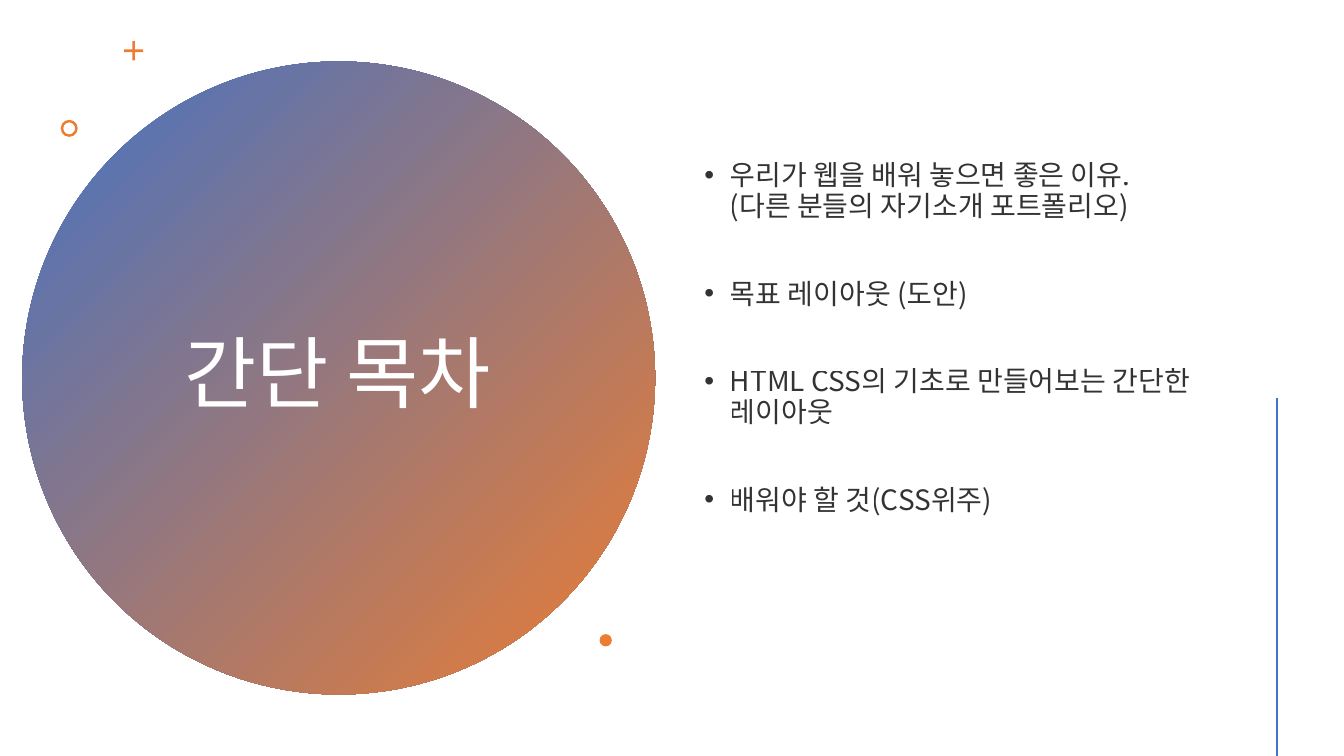
"""Build the table-of-contents slide with a gradient circle."""
from lxml.etree import SubElement
from pptx import Presentation
from pptx.dml.color import RGBColor
from pptx.enum.shapes import MSO_CONNECTOR as Connector, MSO_SHAPE as Shape
from pptx.enum.text import MSO_ANCHOR as Anchor, MSO_AUTO_SIZE as AutoSize, PP_ALIGN as Align
from pptx.oxml.ns import qn
from pptx.util import Cm, Pt

FONT = "Noto Sans CJK KR"
COLORS = {"blue": "4472C4", "orange": "ED7D31", "white": "FFFFFF", "text": "000000"}
TOPICS = [
    "우리가 웹을 배워 놓으면 좋은 이유. \v(다른 분들의 자기소개 포트폴리오)",
    "목표 레이아웃 (도안)",
    "HTML CSS의 기초로 만들어보는 간단한 레이아웃",
    "배워야 할 것(CSS위주)",
]


def color(name):
    """Return the named colour."""
    return RGBColor.from_string(COLORS[name])


def place(item, left, top, width, height):
    """Move and size an item, in centimetres."""
    item.left, item.top, item.width, item.height = map(Cm, (left, top, width, height))


def style_runs(paragraph, size, color_name):
    """Give every run of a paragraph its font, size and colour."""
    for run in paragraph.runs:
        run.font.name = FONT
        run.font.size = Pt(size)
        run.font.color.rgb = color(color_name)
        SubElement(run.font._element, qn("a:ea"), typeface=FONT)


def add_ornament(slide, kind, left, top, size, thickness=None):
    """Add a plain orange shape with equal sides."""
    ornament = slide.shapes.add_shape(kind, Cm(left), Cm(top), Cm(size), Cm(size))
    ornament.shadow.inherit = False
    ornament.fill.solid()
    ornament.fill.fore_color.rgb = color("orange")
    ornament.line.fill.background()
    if thickness is not None:
        ornament.adjustments[0] = thickness
    return ornament


def add_circle(slide):
    """Add the large gradient circle behind everything else."""
    circle = add_ornament(slide, Shape.OVAL, 0.56, 1.55, 15.95)
    circle.fill.gradient()
    circle.fill.gradient_angle = 315
    for stop, position, name in zip(circle.fill.gradient_stops, (0, 1), ("blue", "orange")):
        stop.position = position
        stop.color.rgb = color(name)
    slide.shapes._spTree.insert(2, circle._element)


def add_accent_line(slide):
    """Add the vertical line at the right edge."""
    accent = slide.shapes.add_connector(
        Connector.STRAIGHT, Cm(32.18), Cm(10.03), Cm(32.18), Cm(19.05))
    accent.line.color.rgb = color("blue")
    accent.line.width = Pt(2)
    SubElement(accent._element.spPr, qn("a:effectLst"))


def fill_title(title):
    """Write the heading in the middle of the circle."""
    place(title, 3.45, 3.58, 10.13, 11.86)
    frame = title.text_frame
    frame.text = "간단 목차"
    frame.auto_size = AutoSize.NONE
    frame.vertical_anchor = Anchor.MIDDLE
    heading = frame.paragraphs[0]
    heading.alignment = Align.CENTER
    heading.line_spacing = 0.9
    style_runs(heading, 56, "white")


def fill_topics(body):
    """Write the bulleted topics, evenly spaced."""
    place(body, 17.5, 1.45, 13.26, 16.2)
    frame = body.text_frame
    frame.text = "\n".join(TOPICS)
    frame.auto_size = AutoSize.NONE
    frame.vertical_anchor = Anchor.TOP
    frame.margin_top = Cm(2.6)
    for index, topic in enumerate(frame.paragraphs):
        topic.line_spacing = Pt(21.8)
        topic.space_before = Pt(41 if index else 0)
        style_runs(topic, 20, "text")
        properties = topic._p.get_or_add_pPr()
        properties.set("marL", str(Cm(0.64)))
        properties.set("indent", str(Cm(-0.64)))
        SubElement(properties, qn("a:buFont"), typeface="Arial")
        SubElement(properties, qn("a:buChar"), char="•")
        for shade in topic._p.iter(qn("a:srgbClr")):
            SubElement(shade, qn("a:alpha"), val="80000")


def main():
    """Build and save the slide."""
    deck = Presentation()
    deck.slide_width, deck.slide_height = Cm(33.87), Cm(19.05)
    slide = deck.slides.add_slide(deck.slide_layouts[1])
    add_circle(slide)
    fill_title(slide.shapes.title)
    fill_topics(slide.placeholders[1])
    add_ornament(slide, Shape.CROSS, 3.13, 1.04, 0.48, 0.43)
    add_ornament(slide, Shape.DONUT, 1.53, 3.02, 0.43, 0.15)
    add_ornament(slide, Shape.OVAL, 15.11, 15.98, 0.31)
    add_accent_line(slide)
    deck.save("out.pptx")


if __name__ == "__main__":
    main()
